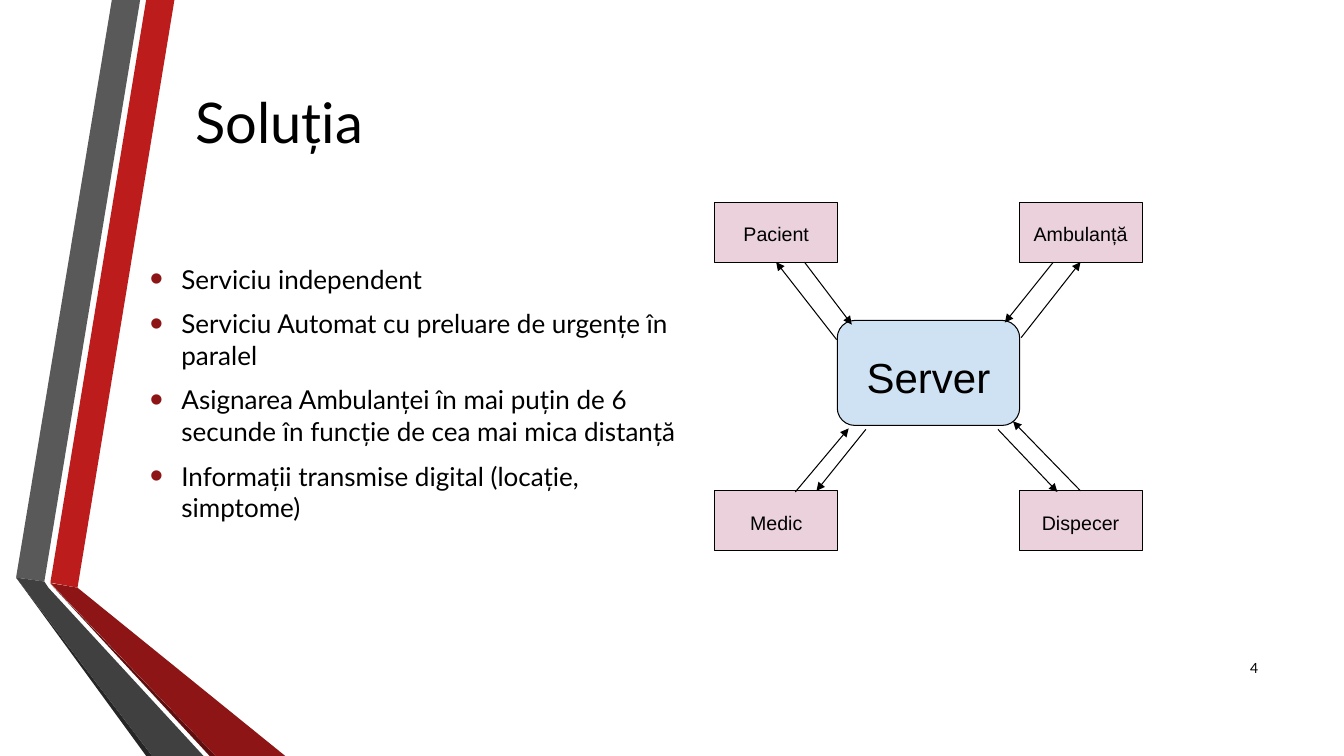
from lxml import etree
from pptx import Presentation
from pptx.dml.color import RGBColor
from pptx.enum.shapes import MSO_CONNECTOR, MSO_SHAPE
from pptx.enum.text import MSO_ANCHOR, MSO_AUTO_SIZE, PP_ALIGN
from pptx.oxml.ns import qn
from pptx.util import Pt

RECTANGLE = MSO_SHAPE.RECTANGLE
ROUNDED = MSO_SHAPE.FLOWCHART_ALTERNATE_PROCESS
STRAIGHT = MSO_CONNECTOR.STRAIGHT
MIDDLE, TOP = MSO_ANCHOR.MIDDLE, MSO_ANCHOR.TOP
LEFT, CENTER, RIGHT = PP_ALIGN.LEFT, PP_ALIGN.CENTER, PP_ALIGN.RIGHT
NO_AUTOFIT = MSO_AUTO_SIZE.NONE

COLORS = {
    "text": "000000", "line": "000000", "bullet": "8D1515",
    "server": "CFE2F3", "client": "EAD1DC",
    "red": "BC1C1C", "red fold": "8D1515", "red edge": "5E0E0E",
    "gray": "595959", "gray fold": "404040", "gray edge": "262626",
}

# Ribbon outlines in points, from back to front
RIBBONS = [
    ("red", [(36, 416.2), (55.4, 419.8), (124.6, 0), (104.4, 0)]),
    ("gray", [(100.1, 0), (79.9, 0), (11.5, 412.6), (31.7, 415.4)]),
    ("gray edge", [(11.5, 412.6), (104.4, 540), (108.7, 540)]),
    ("red edge", [(36, 416.9), (149.8, 540), (154.1, 540)]),
    ("red fold", [(36, 416.5), (154.1, 540), (203.8, 540), (55.4, 419.8)]),
    ("gray fold", [(145.4, 540), (34.6, 419.8), (31.7, 415.4), (11.5, 412.6),
                   (108.7, 540)]),
]
BULLETS = [
    "Serviciu independent",
    "Serviciu Automat cu preluare de urgențe în paralel",
    "Asignarea Ambulanței în mai puțin de 6 secunde în funcție de cea mai mica distanță",
    "Informații transmise digital (locație, simptome)",
]
CLIENTS = [["Pacient", "Ambulanță"], ["Medic", "Dispecer"]]
CLIENT_SIZE = (88, 42.5)
SERVER_SIZE = (130.3, 75)
SERVER_TOP = 84.2
# Arrow start and end, relative to the diagram box
ARROWS = [
    ((87.1, 97.9), (43.9, 42.5)), ((64.1, 42.5), (97.9, 87.1)),
    ((241.9, 42.5), (207.3, 85.7)), ((218.9, 96.5), (261.3, 42.5)),
    ((261.3, 205.9), (213.1, 156.3)), ((202.3, 162), (244.8, 206.7)),
    ((57.6, 206.7), (95.7, 161.3)), ((108, 162), (72.7, 205.9)),
]


def color(name):
    return RGBColor.from_string(COLORS[name])


def points(*values):
    return [Pt(value) for value in values]


def add_run(paragraph, text, size, font, align):
    paragraph.alignment = align
    run = paragraph.add_run()
    run.text = text
    run.font.size = Pt(size)
    run.font.name = font
    run.font.color.rgb = color("text")


def set_frame(frame, anchor):
    frame.word_wrap = True
    frame.auto_size = NO_AUTOFIT
    frame.vertical_anchor = anchor


def add_ribbons(slide, box):
    left, top = box
    for name, outline in RIBBONS:
        corners = [points(left + x, top + y) for x, y in outline]
        builder = slide.shapes.build_freeform(*corners[0], scale=1.0)
        builder.add_line_segments(corners[1:], close=True)
        shape = builder.convert_to_shape()
        shape.shadow.inherit = False
        shape.fill.solid()
        shape.fill.fore_color.rgb = color(name)
        shape.line.fill.background()


def add_title(slide, box, text):
    title = slide.shapes.title
    title.left, title.top, title.width, title.height = points(*box)
    set_frame(title.text_frame, MIDDLE)
    add_run(title.text_frame.paragraphs[0], text, 40, "Lato", LEFT)


def set_bullet(paragraph, indent):
    properties = paragraph._p.get_or_add_pPr()
    properties.set("marL", str(Pt(indent)))
    properties.set("indent", str(-Pt(indent)))
    bullet_color = etree.SubElement(properties, qn("a:buClr"))
    etree.SubElement(bullet_color, qn("a:srgbClr"), val=COLORS["bullet"])
    etree.SubElement(properties, qn("a:buSzPct"), val="145000")
    etree.SubElement(properties, qn("a:buFont"), typeface="Arial")
    etree.SubElement(properties, qn("a:buChar"), char="•")


def add_bullets(slide, box, items):
    frame = slide.shapes.add_textbox(*points(*box)).text_frame
    set_frame(frame, TOP)
    for index, item in enumerate(items):
        paragraph = frame.add_paragraph() if index else frame.paragraphs[0]
        paragraph.space_before = Pt(3.7)
        paragraph.space_after = Pt(6)
        set_bullet(paragraph, 22.5)
        add_run(paragraph, item, 18.6, "Lato", LEFT)


def add_node(slide, kind, box, text, size, fill):
    shape = slide.shapes.add_shape(kind, *points(*box))
    shape.shadow.inherit = False
    shape.fill.solid()
    shape.fill.fore_color.rgb = color(fill)
    shape.line.color.rgb = color("line")
    shape.line.width = Pt(0.75)
    frame = shape.text_frame
    set_frame(frame, MIDDLE)
    frame.margin_left = frame.margin_right = Pt(7.2)
    frame.margin_top = frame.margin_bottom = Pt(7.2)
    frame.paragraphs[0].line_spacing = 1.15
    add_run(frame.paragraphs[0], text, size, "Arial", CENTER)


def add_arrow(slide, start, end):
    arrow = slide.shapes.add_connector(STRAIGHT, *points(*start, *end))
    arrow.line.color.rgb = color("line")
    arrow.line.width = Pt(0.75)
    etree.SubElement(arrow.line._get_or_add_ln(), qn("a:tailEnd"), type="triangle")
    etree.SubElement(arrow._element.spPr, qn("a:effectLst"))


def add_diagram(slide, box):
    left, top, width, height = box
    # Server in the middle
    server_left = left + (width - SERVER_SIZE[0]) / 2
    add_node(slide, ROUNDED, (server_left, top + SERVER_TOP, *SERVER_SIZE),
             "Server", 30, "server")
    # One client in each corner
    for row, names in enumerate(CLIENTS):
        for column, name in enumerate(names):
            x = left + column * (width - CLIENT_SIZE[0])
            y = top + row * (height - CLIENT_SIZE[1])
            add_node(slide, RECTANGLE, (x, y, *CLIENT_SIZE), name, 14, "client")
    # Request and reply arrows
    for start, end in ARROWS:
        add_arrow(slide, (left + start[0], top + start[1]),
                  (left + end[0], top + end[1]))


def add_slide_number(slide, box, number):
    frame = slide.shapes.add_textbox(*points(*box)).text_frame
    set_frame(frame, MIDDLE)
    add_run(frame.paragraphs[0], number, 10, "Lato", RIGHT)


presentation = Presentation()
presentation.slide_width, presentation.slide_height = points(960, 540)
slide = presentation.slides.add_slide(presentation.slide_layouts[5])
add_ribbons(slide, (0, 0))
add_title(slide, (132.5, 17.3, 789, 138.2), "Soluția")
add_bullets(slide, (100, 184.3, 399.6, 171.4), BULLETS)
add_diagram(slide, (510.5, 144.7, 305.4, 248.4))
add_slide_number(slide, (862.6, 463, 43.2, 28.8), "4")
presentation.save("out.pptx")
